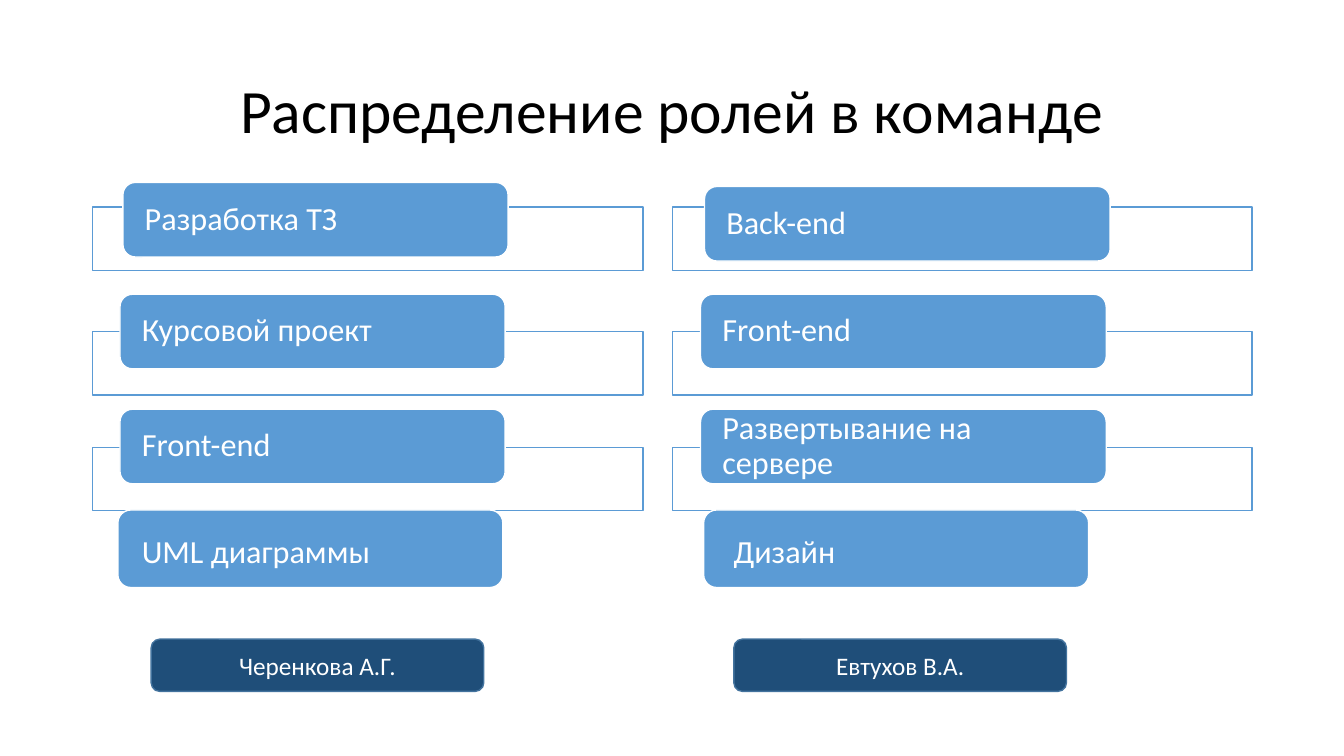
"""Build the slide on how roles are shared out in the team."""
from collections import namedtuple

from lxml.etree import SubElement
from pptx import Presentation
from pptx.dml.color import RGBColor
from pptx.enum.shapes import MSO_SHAPE as Shape
from pptx.enum.text import MSO_ANCHOR as Anchor, PP_ALIGN as Align
from pptx.oxml.ns import qn
from pptx.util import Pt

WHITE = RGBColor(0xFF, 0xFF, 0xFF)
BLACK = RGBColor(0x00, 0x00, 0x00)
BLUE = RGBColor(0x5B, 0x9B, 0xD5)
NAVY = RGBColor(0x1F, 0x4E, 0x79)
NAVY_EDGE = RGBColor(0x43, 0x73, 0x9E)

FONT = "Calibri"
FRAME_TOPS = (148, 236.9, 319.5)
FRAME_HEIGHT = 45.4
ROLE_TOPS = (130.3, 210.2, 292.3)
ROLE_HEIGHT = 53.3
LAST_TOP, LAST_WIDTH, LAST_HEIGHT = 364.3, 275, 55.4
PERSON_TOP, PERSON_WIDTH, PERSON_HEIGHT = 456.5, 237.6, 37.4

Column = namedtuple(
    "Column",
    "left width role_indents first_drop last_indent last_inset person_indent roles person",
)
COLUMNS = (
    Column(66.2, 393.1, (21.6, 19.5, 19.5), 0, 18, 14.4, 41.8,
           ("Разработка ТЗ", "Курсовой проект", "Front-end", "UML диаграммы"),
           "Черенкова А.Г."),
    Column(480.2, 414, (23, 20.2, 20.2), 2.9, 22.4, 18.7, 44,
           ("Back-end", "Front-end", "Развертывание на сервере", "Дизайн"),
           "Евтухов В.А."),
)


def write(owner, text, size, color, align, spacing=1.0):
    """Put one wrapped, vertically centred paragraph into a shape."""
    frame = owner.text_frame
    frame.text = text
    frame.word_wrap = True
    frame.vertical_anchor = Anchor.MIDDLE
    paragraph = frame.paragraphs[0]
    paragraph.alignment = align
    paragraph.line_spacing = spacing
    font = paragraph.runs[0].font
    font.name, font.size = FONT, Pt(size)
    font.color.rgb = color
    return frame


def add_box(slide, kind, box, fill, edge):
    """Add a flat, filled and outlined shape in the given box."""
    panel = slide.shapes.add_shape(kind, *map(Pt, box))
    panel.shadow.inherit = False
    panel.fill.solid()
    panel.fill.fore_color.rgb = fill
    panel.line.color.rgb = edge
    panel.line.width = Pt(1)
    return panel


def add_title(slide, box, text):
    """Add the centred heading."""
    heading = slide.shapes.add_textbox(*map(Pt, box))
    write(heading, text, 44, BLACK, Align.CENTER, 0.9)


def add_frame(slide, box):
    """Add the translucent outlined bar behind a role."""
    bar = add_box(slide, Shape.RECTANGLE, box, WHITE, BLUE)
    tint = bar.fill._xPr.find(".//" + qn("a:srgbClr"))
    SubElement(tint, qn("a:alpha"), val="90000")


def add_role(slide, box, text, inset=13, drop=0):
    """Add a rounded role label, its text lowered by the given drop."""
    label = add_box(slide, Shape.ROUNDED_RECTANGLE, box, BLUE, WHITE)
    frame = write(label, text, 23, WHITE, Align.LEFT, 0.9)
    frame.margin_left, frame.margin_right = Pt(inset), Pt(13)
    frame.margin_top, frame.margin_bottom = Pt(2 * drop), Pt(0)


def add_person(slide, box, name):
    """Add the dark plate with a team member's name."""
    plate = add_box(slide, Shape.ROUNDED_RECTANGLE, box, NAVY, NAVY_EDGE)
    write(plate, name, 18, WHITE, Align.CENTER)


def add_column(slide, column):
    """Add one member's roles and name plate."""
    left = column.left
    role_width = column.width * 0.7
    role_tops = (ROLE_TOPS[0] + column.first_drop, *ROLE_TOPS[1:])
    for frame_top, top, indent, role in zip(
            FRAME_TOPS, role_tops, column.role_indents, column.roles):
        add_frame(slide, (left, frame_top, column.width, FRAME_HEIGHT))
        add_role(slide, (left + indent, top, role_width, ROLE_HEIGHT), role)
    last_box = (left + column.last_indent, LAST_TOP, LAST_WIDTH, LAST_HEIGHT)
    add_role(slide, last_box, column.roles[-1], column.last_inset, 3)
    add_person(slide, (left + column.person_indent, PERSON_TOP,
                       PERSON_WIDTH, PERSON_HEIGHT), column.person)


def main():
    """Build and save the presentation."""
    deck = Presentation()
    deck.slide_width, deck.slide_height = Pt(960), Pt(540)
    slide = deck.slides.add_slide(deck.slide_layouts[6])
    add_title(slide, (66, 28.8, 828, 104.4), "Распределение ролей в команде")
    for column in COLUMNS:
        add_column(slide, column)
    deck.save("out.pptx")


if __name__ == "__main__":
    main()
